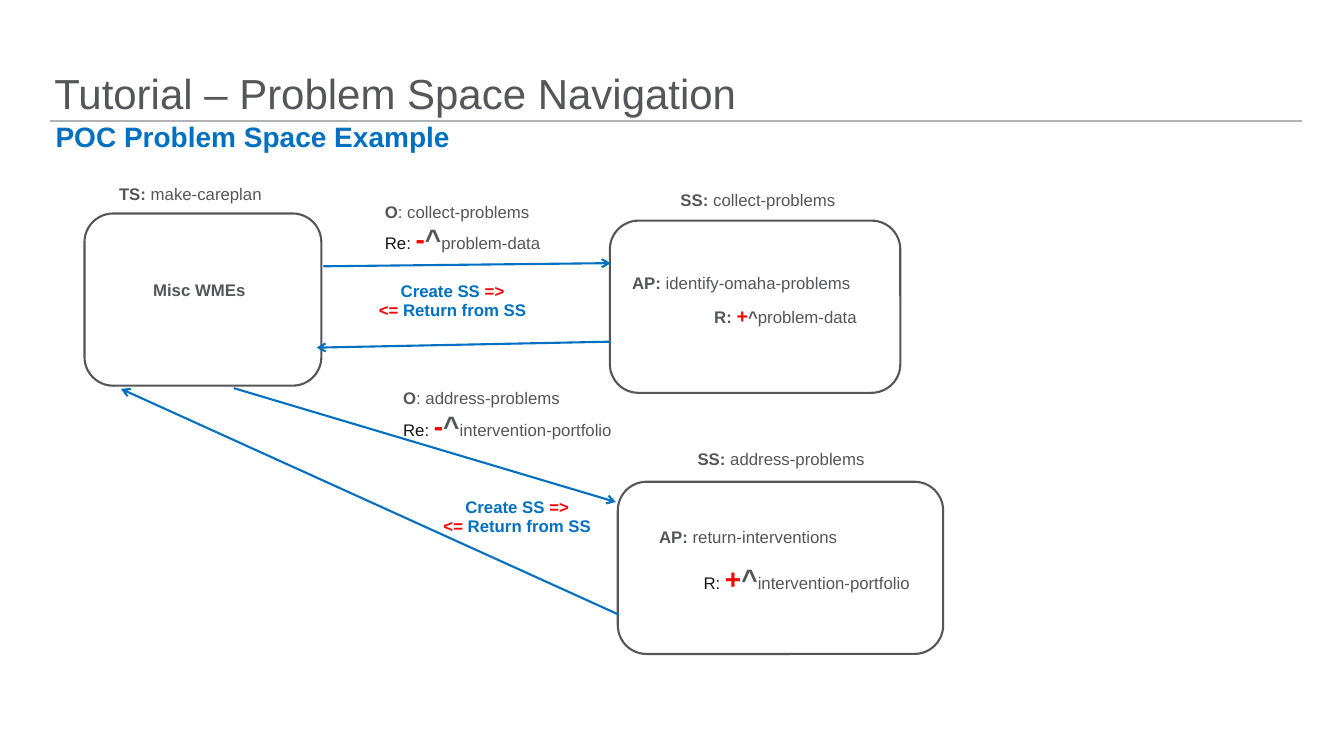
from typing import NamedTuple

from lxml.etree import SubElement
from pptx import Presentation
from pptx.dml.color import RGBColor
from pptx.enum.shapes import MSO_CONNECTOR, MSO_SHAPE
from pptx.enum.text import MSO_ANCHOR, MSO_AUTO_SIZE, PP_ALIGN
from pptx.oxml.ns import qn
from pptx.util import Cm, Pt

GREY, BLUE, RED, BLACK, RULE = "55565A", "0070C0", "FF0000", "151514", "B1B3B3"


class Run(NamedTuple):
    text: str
    bold: bool = False
    color: str = GREY
    size: float = 12


class Box(NamedTuple):
    x: float
    y: float
    w: float
    h: float


class Arrow(NamedTuple):
    x1: float
    y1: float
    x2: float
    y2: float


class Label(NamedTuple):
    box: Box
    head: str
    name: str = ""


class Operator(NamedTuple):
    box: Box
    name: str
    data: str


def rgb(color: str) -> RGBColor:
    return RGBColor.from_string(color)


def add_text(s, box: Box, paragraphs: list[list[Run]], *, align=None, spacing=None,
             before=None, after=None, anchor=MSO_ANCHOR.TOP, inset=True):
    """Add a text box; inset=False means no margins."""
    tf = s.shapes.add_textbox(*map(Cm, box)).text_frame
    tf.word_wrap = True
    tf.vertical_anchor = anchor
    if not inset:
        tf.margin_left = tf.margin_top = tf.margin_right = tf.margin_bottom = 0
    for i, runs in enumerate(paragraphs):
        p = tf.paragraphs[0] if i == 0 else tf.add_paragraph()
        p.alignment, p.line_spacing = align, spacing
        p.space_before, p.space_after = before, after
        for run in runs:
            r = p.add_run()
            r.text = run.text
            r.font.name, r.font.size, r.font.bold = "Arial", Pt(run.size), run.bold
            r.font.color.rgb = rgb(run.color)
    return tf


def add_label(s, box: Box, runs: list[Run]) -> None:
    add_text(s, box, [runs], spacing=0.95, before=Pt(8), after=Pt(6), inset=False)


def add_space(s, box: Box) -> None:
    sp = s.shapes.add_shape(MSO_SHAPE.ROUNDED_RECTANGLE, *map(Cm, box))
    sp.shadow.inherit = False
    sp.fill.background()
    sp.line.color.rgb = rgb(GREY)
    sp.line.width = Pt(1.5)


def add_line(s, line: Arrow, color: str = BLUE, width: float = 1.5, head: bool = True) -> None:
    cxn = s.shapes.add_connector(MSO_CONNECTOR.STRAIGHT, *map(Cm, line))
    cxn.line.color.rgb = rgb(color)
    cxn.line.width = Pt(width)
    if head:
        SubElement(cxn.line._get_or_add_ln(), qn("a:tailEnd"), type="arrow")
    SubElement(cxn._element.spPr, qn("a:effectLst"))


def change(prefix: str, sign: str, data: str) -> list[Run]:
    """Runs for a working-memory change with a large sign."""
    return [Run(prefix, color=BLACK), Run(sign, True, RED, 20),
            Run("^", True, size=20), Run(data)]


SPACES = [Box(2.13, 5.38, 5.97, 4.34), Box(15.37, 5.56, 7.32, 4.34),
          Box(15.57, 12.14, 8.2, 4.34)]
ARROWS = [Arrow(8.15, 6.71, 15.39, 6.63), Arrow(15.37, 8.61, 7.98, 8.76),
          Arrow(5.89, 9.78, 15.52, 12.65), Arrow(15.6, 15.49, 3.05, 9.8)]
LABELS = [
    Label(Box(3, 4.67, 4.04, 0.61), "TS: ", "make-careplan"),
    Label(Box(17.15, 4.83, 4.09, 0.61), "SS: ", "collect-problems"),
    Label(Box(15.93, 6.91, 5.51, 0.61), "AP: ", "identify-omaha-problems"),
    Label(Box(17.58, 11.35, 4.52, 0.61), "SS: ", "address-problems"),
    Label(Box(16.61, 13.31, 4.83, 0.61), "AP: ", "return-interventions"),
    Label(Box(3.86, 7.09, 2.67, 0.61), "Misc WMEs"),
]
OPERATORS = [
    Operator(Box(9.7, 5.08, 4.37, 1.45), "collect-problems", "problem-data"),
    Operator(Box(10.16, 9.78, 5.54, 1.45), "address-problems", "intervention-portfolio"),
]
EXCHANGES = [Box(9.27, 7.11, 4.27, 1.07), Box(10.9, 12.55, 4.27, 1.07)]


def main() -> None:
    prs = Presentation()
    prs.slide_width, prs.slide_height = Cm(33.87), Cm(19.05)
    s = prs.slides.add_slide(prs.slide_layouts[6])

    # Heading
    add_line(s, Arrow(1.27, 3.05, 32.82, 3.05), RULE, 1, head=False)
    add_text(s, Box(1.37, 1.14, 22.58, 1.85),
             [[Run("Tutorial – Problem Space Navigation", size=30)]],
             spacing=0.9, anchor=MSO_ANCHOR.BOTTOM, inset=False)
    add_label(s, Box(1.4, 3.07, 10.26, 0.94),
              [Run("POC Problem Space Example", True, BLUE, 20)])

    # Problem spaces and the moves between them
    for space in SPACES:
        add_space(s, space)
    for arrow in ARROWS:
        add_line(s, arrow)

    # Names of spaces and proposals
    for label in LABELS:
        runs = [Run(label.head, True)]
        if label.name:
            runs.append(Run(label.name))
        add_label(s, label.box, runs)

    # Operators with their results
    for op in OPERATORS:
        add_text(s, op.box, [[Run("O", True), Run(f": {op.name}")],
                             change("Re: ", "-", op.data)], inset=False)

    # Create and return captions
    for box in EXCHANGES:
        add_text(s, box, [[Run("Create SS ", True, BLUE), Run("=>", True, RED)],
                          [Run("<=", True, RED), Run(" Return from SS", True, BLUE)]],
                 align=PP_ALIGN.CENTER, spacing=0.95, inset=False)

    # Results inside the subspaces
    tf = add_text(s, Box(17.75, 7.54, 4.14, 0.86),
                  [[Run("R: ", True), Run("+", True, RED, 14),
                    Run("^", True), Run("problem-data")]])
    tf.word_wrap = False
    tf.auto_size = MSO_AUTO_SIZE.SHAPE_TO_FIT_TEXT
    add_text(s, Box(17.73, 14.15, 5.54, 1.07),
             [change("R: ", "+", "intervention-portfolio")], inset=False)

    prs.save("out.pptx")


if __name__ == "__main__":
    main()
